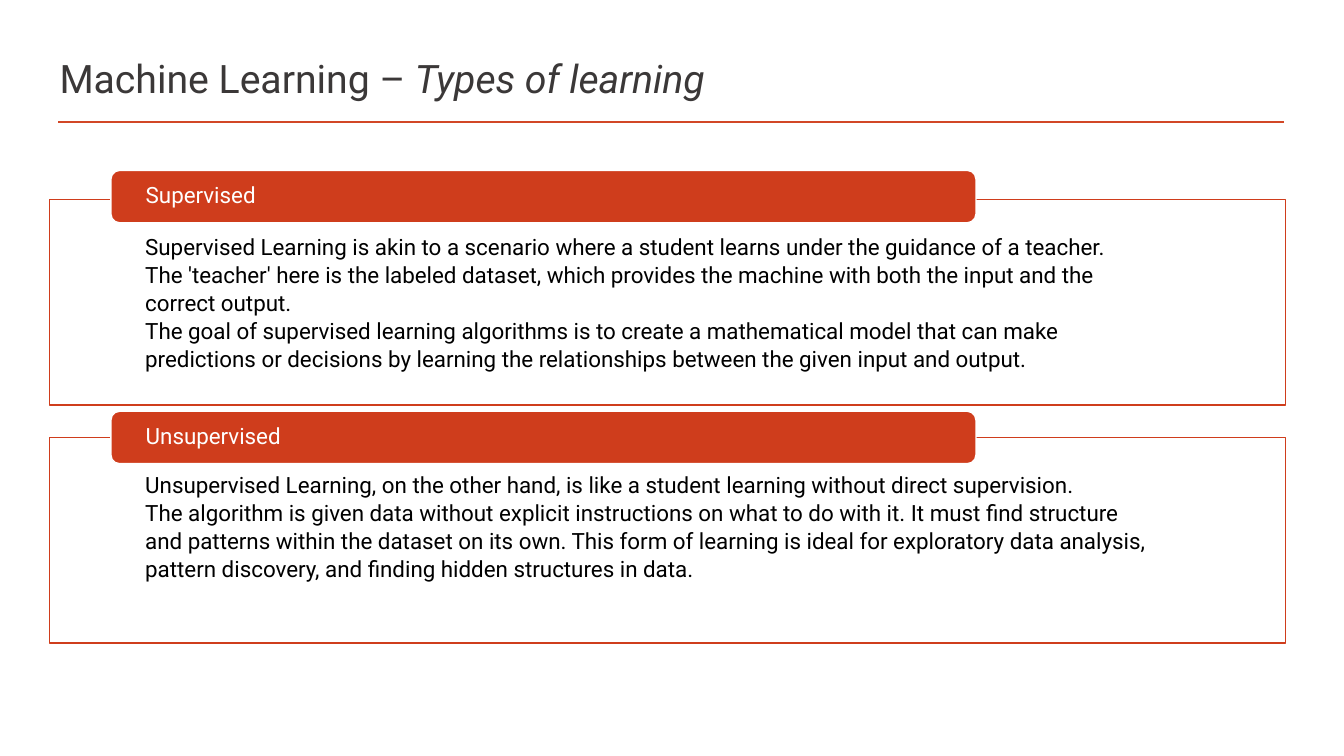
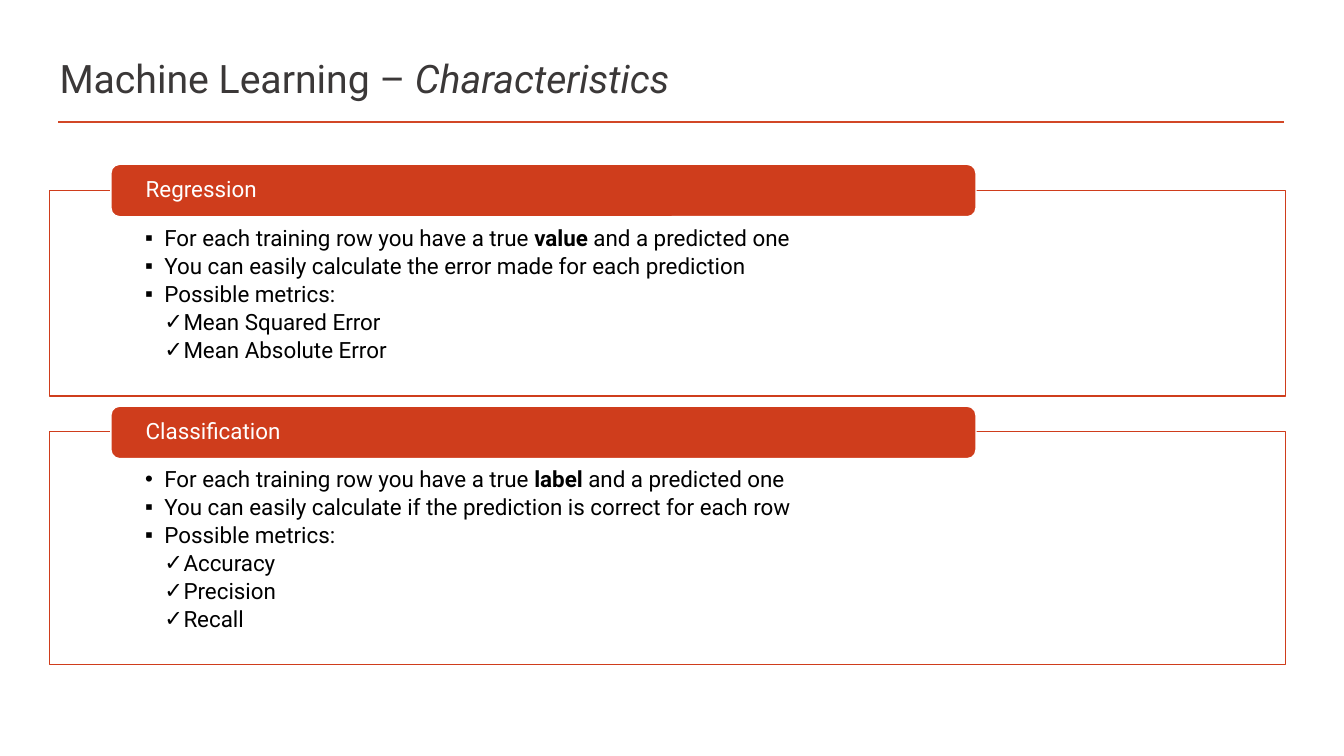
from dataclasses import dataclass

from lxml.etree import SubElement as Sub
from pptx import Presentation
from pptx.dml.color import RGBColor as RGB
from pptx.enum.shapes import MSO_CONNECTOR as Conn, MSO_SHAPE as Kind
from pptx.enum.text import MSO_ANCHOR as Anchor, MSO_AUTO_SIZE as Fit, PP_ALIGN as Align
from pptx.oxml.ns import qn
from pptx.util import Inches, Pt


@dataclass(frozen=True)
class Theme:
    font: str = "Roboto"
    head: RGB = RGB(0x3B, 0x38, 0x38)
    rule: RGB = RGB(0xD2, 0x47, 0x26)
    red: RGB = RGB(0xCF, 0x3D, 0x1C)
    white: RGB = RGB(0xFF, 0xFF, 0xFF)
    black: RGB = RGB(0, 0, 0)
    big: int = 28
    text: int = 16
    left: float = 0.49
    width: float = 12.26
    step: float = 0.19


T = Theme()

# Each panel: label, tab top, box top, box height, lines.
# Each line: level, bullet, then plain and bold runs in turn.
SLIDES = [
    ("Types of learning", [
        ("Supervised", 1.69, 1.98, 2.04, [
            (1, "", "Supervised Learning is akin to a scenario where a student learns under the guidance of a teacher."),
            (1, "", "The 'teacher' here is the labeled dataset, which provides the machine with both the input and the"),
            (1, "", "correct output."),
            (1, "", "The goal of supervised learning algorithms is to create a mathematical model that can make"),
            (1, "", "predictions or decisions by learning the relationships between the given input and output."),
        ]),
        ("Unsupervised", 4.08, 4.34, 2.04, [
            (1, "", "Unsupervised Learning, on the other hand, is like a student learning without direct supervision."),
            (1, "", "The algorithm is given data without explicit instructions on what to do with it. It must find structure"),
            (1, "", "and patterns within the dataset on its own. This form of learning is ideal for exploratory data analysis,"),
            (1, "", "pattern discovery, and finding hidden structures in data."),
        ]),
    ]),
    ("Characteristics", [
        ("Regression", 1.63, 1.89, 2.04, [
            (1, "▪", "For each training row you have a true ", "value", " and a predicted one"),
            (1, "▪", "You can easily calculate the error made for each prediction"),
            (1, "▪", "Possible metrics:"),
            (2, "✓", "Mean Squared Error"),
            (2, "✓", "Mean Absolute Error"),
        ]),
        ("Classification", 4.03, 4.28, 2.31, [
            (1, "•", "For each training row you have a true ", "label", " and a predicted one"),
            (1, "▪", "You can easily calculate if the prediction is correct for each row"),
            (1, "▪", "Possible metrics:"),
            (2, "✓", "Accuracy"),
            (2, "✓", "Precision"),
            (2, "✓", "Recall"),
        ]),
    ]),
]


def place(shape, x, y, w, h):
    shape.left, shape.top = Inches(x), Inches(y)
    shape.width, shape.height = Inches(w), Inches(h)


def paint(shape, fill, line):
    shape.fill.solid()
    shape.fill.fore_color.rgb = fill
    shape.line.color.rgb = line
    shape.line.width = Pt(1)


def inset(frame, side, top, base):
    frame.margin_left = frame.margin_right = Inches(side)
    frame.margin_top, frame.margin_bottom = Inches(top), Inches(base)
    frame.word_wrap = True
    frame.auto_size = Fit.NONE


def add_run(para, text, size, color, bold=False, italic=False):
    run = para.add_run()
    run.text = text
    font = run.font
    font.name, font.size = T.font, Pt(size)
    font.color.rgb = color
    font.bold, font.italic = bold, italic


def add_bullet(para, level, mark):
    props = para._p.get_or_add_pPr()
    props.set("marL", str(Inches(T.step * level)))
    props.set("indent", str(-Inches(T.step)))
    if mark:
        Sub(props, qn("a:buChar")).set("char", mark)
    else:
        Sub(props, qn("a:buNone"))


# Title place and rule, shared through the layout
def set_layout(layout, slide):
    place(layout.placeholders[0], T.left, 0.47, T.width, 0.61)
    y = Inches(1.21)
    rule = slide.shapes.add_connector(Conn.STRAIGHT, Inches(0.58), y, Inches(12.74), y)
    rule.line.color.rgb = T.rule
    rule.line.width = Pt(2)
    node = rule.element
    Sub(node.spPr, qn("a:effectLst"))
    node.nvCxnSpPr.cNvPr.set("id", "20")
    layout.shapes.element.append(node)


def add_title(slide, topic):
    frame = slide.shapes.title.text_frame
    frame.auto_size = Fit.NONE
    frame.vertical_anchor = Anchor.MIDDLE
    para = frame.paragraphs[0]
    para.alignment = Align.LEFT
    add_run(para, "Machine Learning – ", T.big, T.head)
    add_run(para, topic, T.big, T.head, italic=True)


def add_list(box, lines):
    frame = box.text_frame
    inset(frame, 0.95, 0.36, 0.12)
    frame.vertical_anchor = Anchor.TOP
    for i, (level, mark, *parts) in enumerate(lines):
        para = frame.add_paragraph() if i else frame.paragraphs[0]
        add_bullet(para, level, mark)
        para.level = level
        para.alignment = Align.LEFT
        para.line_spacing = 0.9
        para.space_before, para.space_after = Pt(0), Pt(2.8)
        for j, part in enumerate(parts):
            add_run(para, part, T.text, T.black, bold=j % 2 == 1)


def add_tab(slide, label, top):
    tab = slide.shapes.add_shape(
        Kind.ROUNDED_RECTANGLE, Inches(1.1), Inches(top), Inches(8.58), Inches(0.52))
    tab.shadow.inherit = False
    paint(tab, T.red, T.white)
    frame = tab.text_frame
    inset(frame, 0.32, 0, 0)
    frame.vertical_anchor = Anchor.MIDDLE
    para = frame.paragraphs[0]
    para.alignment = Align.LEFT
    para.line_spacing = 0.9
    add_run(para, label, T.text, T.white)


def add_panel(slide, box, label, tab, top, height, lines):
    place(box, T.left, top, T.width, height)
    paint(box, T.white, T.red)
    add_list(box, lines)
    add_tab(slide, label, tab)


def main():
    deck = Presentation()
    deck.slide_width, deck.slide_height = Inches(13.33), Inches(7.5)
    layout = deck.slide_layouts.get_by_name("Two Content")
    for i, (topic, panels) in enumerate(SLIDES):
        slide = deck.slides.add_slide(layout)
        if i == 0:
            set_layout(layout, slide)
        add_title(slide, topic)
        for idx, panel in enumerate(panels, 1):
            add_panel(slide, slide.placeholders[idx], *panel)
    deck.save("out.pptx")


if __name__ == "__main__":
    main()
